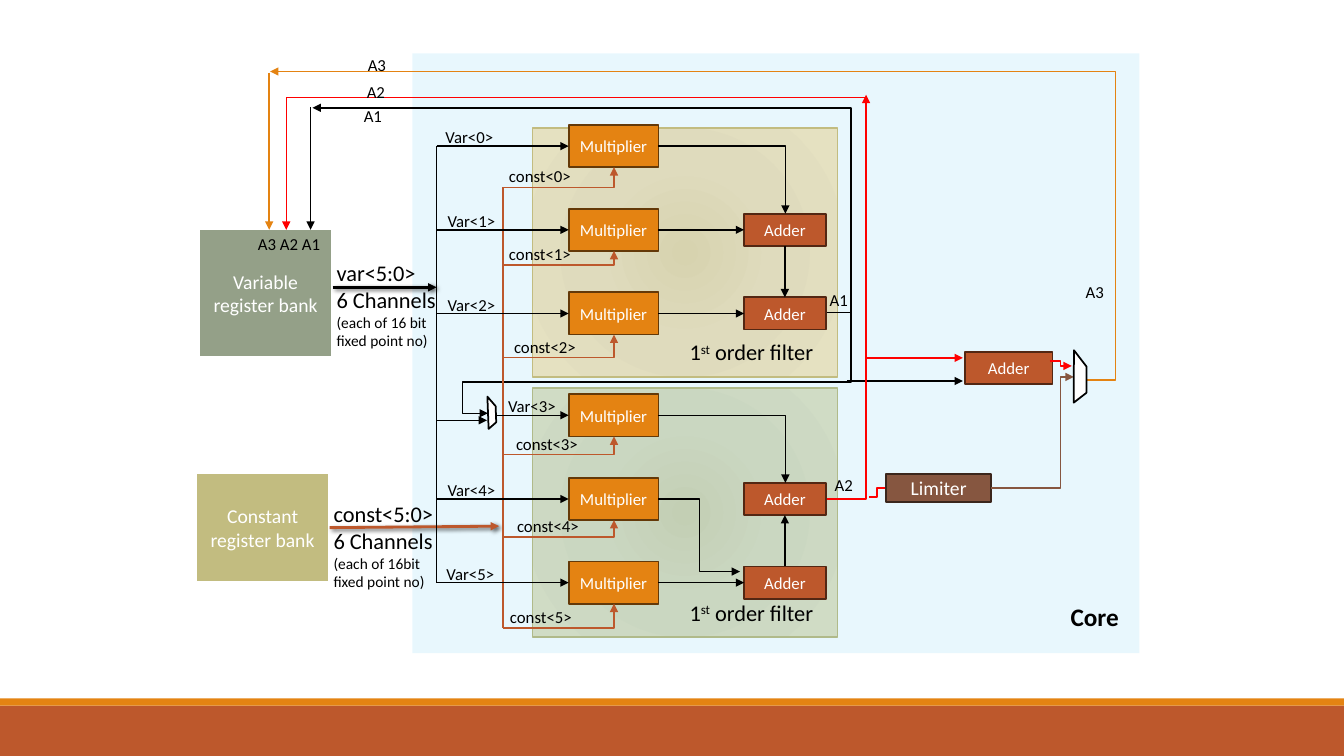
from collections import namedtuple

from lxml import etree
from pptx import Presentation
from pptx.dml.color import RGBColor
from pptx.enum.shapes import MSO_CONNECTOR, MSO_SHAPE
from pptx.enum.text import MSO_ANCHOR, PP_ALIGN
from pptx.oxml import parse_xml
from pptx.oxml.ns import nsdecls, qn
from pptx.util import Inches, Pt

RECTANGLE, STRIPE = MSO_SHAPE.RECTANGLE, MSO_SHAPE.DIAGONAL_STRIPE
STRAIGHT, ELBOW = MSO_CONNECTOR.STRAIGHT, MSO_CONNECTOR.ELBOW
CENTER, LEFT, MIDDLE = PP_ALIGN.CENTER, PP_ALIGN.LEFT, MSO_ANCHOR.MIDDLE
TOP_SIDE, LEFT_SIDE, BOTTOM_SIDE, RIGHT_SIDE = range(4)
BLACK, WHITE, RED = "000000", "FFFFFF", "FF0000"
ORANGE, RUST, BROWN = "E48312", "BD582C", "865640"
ROW = 0.83
VAR_BUS, CONST_BUS = 4.33, 4.99
Box = namedtuple("Box", "left top width height")


def color(code):
    return RGBColor.from_string(code)


def write(frame, text, size=12, ink=BLACK, bold=False, align=LEFT):
    first = frame.paragraphs[0]
    para = frame.add_paragraph() if first.runs else first
    para.alignment = align
    for index, piece in enumerate(text.split("^")):
        span = para.add_run()
        span.text = piece
        span.font.name = "Calibri"
        span.font.size = Pt(size)
        span.font.bold = bold
        span.font.color.rgb = color(ink)
        if index % 2:
            span.font._element.set("baseline", "30000")


def add_block(page, box, fill, line=None, width=1.25, text="", size=12, kind=RECTANGLE):
    block = page.shapes.add_shape(kind, *map(Inches, box))
    block.shadow.inherit = False
    block.fill.solid()
    block.fill.fore_color.rgb = color(fill)
    if line:
        block.line.color.rgb = color(line)
        block.line.width = Pt(width)
    else:
        block.line.fill.background()
    if text:
        block.text_frame.word_wrap = True
        block.text_frame.vertical_anchor = MIDDLE
        write(block.text_frame, text, size, WHITE, align=CENTER)
    return block


def add_label(page, left, top, width, *lines, height=0.3, bold=False):
    label = page.shapes.add_textbox(*map(Inches, (left, top, width, height)))
    label.text_frame.word_wrap = True
    for text, size in lines:
        write(label.text_frame, text, size, bold=bold)


def add_wire(page, points, ink=BLACK, width=1, arrow=True, begin=None, end=None, shadow=False):
    (x0, y0), (x1, y1) = points[0], points[-1]
    bends = len(points) - 1
    wire = page.shapes.add_connector(ELBOW if bends > 1 else STRAIGHT, *map(Inches, (x0, y0, x1, y1)))
    if begin:
        wire.begin_connect(*begin)
    if end:
        wire.end_connect(*end)
    wire.line.color.rgb = color(ink)
    wire.line.width = Pt(width)
    properties = wire.element.spPr
    if bends > 1:
        geometry = properties.find(qn("a:prstGeom"))
        geometry.set("prst", f"bentConnector{bends}")
        guides = geometry.find(qn("a:avLst"))
        for index in range(1, bends - 1):
            x, y = points[index]
            share = (x - x0) / (x1 - x0) if index % 2 else (y - y0) / (y1 - y0)
            etree.SubElement(guides, qn("a:gd"), name=f"adj{index}", fmla=f"val {round(share * 100000)}")
    if arrow:
        etree.SubElement(properties.find(qn("a:ln")), qn("a:tailEnd"), type="triangle")
    effects = etree.SubElement(properties, qn("a:effectLst"))
    if shadow:
        glow = etree.SubElement(effects, qn("a:outerShdw"), blurRad=str(Pt(3)), dist=str(Pt(2)), dir="2700000")
        shade = etree.SubElement(glow, qn("a:srgbClr"), val=BLACK)
        etree.SubElement(shade, qn("a:alpha"), val="60000")


def link(page, source, source_side, target, target_side):
    add_wire(page, [(0, 0), (1, 1)], begin=(source, source_side), end=(target, target_side))


def draw_footer(page, box):
    stripe = 0.07
    add_block(page, Box(box.left, box.top + stripe, box.width, box.height - stripe), RUST)
    add_block(page, Box(box.left, box.top, box.width, stripe), ORANGE)


def draw_filter_panel(page, box):
    panel = add_block(page, box, "DFDBBD", "C2BC80", 1)
    stops = "".join(
        f'<a:gs pos="{place}"><a:srgbClr val="{code}"/></a:gs>'
        for place, code in ((0, "D7D3AF"), (45000, "DFDBBD"), (100000, "E5E1C1"))
    )
    gradient = parse_xml(
        f'<a:gradFill {nsdecls("a")}><a:gsLst>{stops}</a:gsLst><a:path path="circle">'
        '<a:fillToRect l="100000" t="100000" r="100000" b="100000"/></a:path></a:gradFill>'
    )
    properties = panel.element.spPr
    properties.replace(properties.find(qn("a:solidFill")), gradient)


def draw_core(page, box):
    core = add_block(page, box, "00B0F0")
    tint = core.element.spPr.find(qn("a:solidFill"))[0]
    etree.SubElement(tint, qn("a:alpha"), val="9000")
    add_label(page, box.left + 6.43, box.top + 5.39, 1, ("Core", 18), height=0.4, bold=True)


def draw_filter(page, box, first_channel, offset, channels, cascade_up):
    multiplier_left, adder_left = box.left + 0.36, box.left + 2.1
    multipliers, adders = [], []
    for row, (drop, const_left, var_left, tap_left) in enumerate(channels):
        top = box.top + offset + row * ROW
        middle, wire_y = top + 0.21, top + 0.42 + drop
        multiplier = add_block(page, Box(multiplier_left, top, 0.89, 0.42), ORANGE, "643908", text="Multiplier")
        multipliers.append(multiplier)
        if row:
            adders.append(add_block(page, Box(adder_left, middle - 0.16, 0.81, 0.32), RUST, "532713", text="Adder"))
        add_wire(page, [(tap_left, middle), (multiplier_left, middle)], end=(multiplier, LEFT_SIDE))
        turn = multiplier_left + 0.45
        add_wire(page, [(CONST_BUS, wire_y), (turn, wire_y), (turn, top + 0.42)], RUST)
        channel = first_channel + row
        add_label(page, var_left, middle - 0.24, 0.81, (f"Var<{channel}>", 12))
        add_label(page, const_left, wire_y - 0.26, 0.84, (f"const<{channel}>", 12))
    upper, lower = adders
    right, middle = multiplier_left + 0.89, box.top + offset + 0.21
    turn = adder_left + 0.41
    add_wire(page, [(right, middle), (turn, middle), (turn, middle + ROW - 0.16)])
    link(page, multipliers[2], RIGHT_SIDE, lower, LEFT_SIDE)
    if cascade_up:
        start, finish, turn = middle + ROW, middle + 2 * ROW - 0.11, right + 0.41
        add_wire(page, [(right, start), (turn, start), (turn, finish), (adder_left - 0.04, finish)])
        link(page, lower, TOP_SIDE, upper, BOTTOM_SIDE)
    else:
        link(page, multipliers[1], RIGHT_SIDE, upper, LEFT_SIDE)
        link(page, upper, BOTTOM_SIDE, lower, TOP_SIDE)
    add_label(page, box.left + 1.46, box.top + box.height - 0.43, 1.52, ("1^st^ order filter", 16), height=0.37)


def draw_bank(page, box, fill, name, signal, note, caption_top):
    bank = add_block(page, box, fill, WHITE, 2, name, 14)
    lines = (signal, 16), ("6 Channels", 16), (note, 11)
    add_label(page, box.left + 1.27, caption_top, 1.23, *lines, height=1.01)
    return bank


def draw_output(page, box):
    left, top = box.left, box.top
    add_block(page, Box(left + 0.78, top, 0.87, 0.32), RUST, "532713", text="Adder")
    add_block(page, Box(left, top + 1.21, 1.04, 0.28), BROWN, "3B261C", text="Limiter", size=14)
    limiter_y, mux_x = top + 1.35, left + 1.73
    add_wire(page, [(left + 1.04, limiter_y), (mux_x, limiter_y), (mux_x, top + 0.25), (left + 1.86, top + 0.25)], BROWN)
    draw_mux(page, Box(left + 1.7, top + 0.04, 0.32, 0.41), 142.3)
    add_wire(page, [(left + 1.62, top + 0.09), (mux_x, top + 0.09), (mux_x, top + 0.14), (left + 1.84, top + 0.14)], RED)
    add_label(page, left + 1.88, top - 0.74, 0.4, ("A3", 12))


def draw_mux(page, box, angle):
    add_block(page, box, WHITE, BLACK, kind=STRIPE).rotation = angle


def draw_wiring(page, box):
    wires = (
        (BLACK, True, [(8.44, 3.22), (8.44, 3.22), (8.44, 1.07), (3.1, 1.07)]),
        (BLACK, True, [(3.08, 1.06), (3.08, 2.28)]),
        (BLACK, True, [(8.19, 3.1), (8.44, 3.1), (8.44, 3.79), (4.59, 3.79), (4.59, 4.1), (4.84, 4.1)]),
        (BLACK, True, [(8.4, 3.78), (9.55, 3.78)]),
        (BLACK, True, [(VAR_BUS, 4.17), (4.83, 4.17)]),
        (BLACK, False, [(VAR_BUS, 1.45), (VAR_BUS, 5.78)]),
        (RUST, False, [(CONST_BUS, 1.86), (CONST_BUS, 6.23)]),
        (RED, True, [(8.19, 4.95), (8.59, 4.95), (8.59, 0.94)]),
        (RED, True, [(8.6, 0.97), (2.84, 0.97), (2.84, 2.28)]),
        (RED, True, [(8.59, 3.55), (9.55, 3.55)]),
        (RED, False, [(8.62, 4.93), (8.7, 4.93), (8.7, 4.84), (8.79, 4.84)]),
        (ORANGE, True, [(10.78, 3.77), (11.06, 3.77), (11.06, 0.71), (2.68, 0.71)]),
        (ORANGE, True, [(2.67, 0.72), (2.67, 2.28)]),
    )
    for ink, arrow, points in wires:
        add_wire(page, [(box.left + x, box.top + y) for x, y in points], ink, arrow=arrow)
    labels = (8.13, 2.83, "A1"), (8.18, 4.66, "A2"), (3.51, 1, "A1"), (3.54, 0.76, "A2"), (3.55, 0.49, "A3")
    for x, y, text in labels:
        add_label(page, box.left + x, box.top + y, 0.47, (text, 12))


def main():
    deck = Presentation()
    deck.slide_width, deck.slide_height = Inches(13.33), Inches(7.5)
    page = deck.slides.add_slide(deck.slide_layouts[6])
    draw_footer(page, Box(0, 6.93, 13.33, 0.57))
    upper, lower = (Box(5.28, top, 3.03, 2.47) for top in (1.27, 3.85))
    draw_filter_panel(page, lower)
    draw_core(page, Box(4.09, 0.53, 7.21, 5.95))
    draw_filter_panel(page, upper)
    variable = Box(1.97, 2.27, 1.33, 1.28)
    draw_bank(page, variable, "94A088", "Variable register bank", "var<5:0>", "(each of 16 bit fixed point no)", 2.52)
    add_label(page, variable.left + 0.49, variable.top, 0.86, ("A3 A2 A1", 12))
    add_wire(page, [(3.3, 2.85), (VAR_BUS, 2.85)], width=2, shadow=True)
    constant = Box(1.94, 4.69, 1.33, 1.09)
    bank = draw_bank(page, constant, "C2BC80", "Constant register bank", "const<5:0>", "(each of 16bit fixed point no)", 4.91)
    add_wire(page, [(3.27, 5.23), (4.95, 5.22)], RUST, 2, begin=(bank, RIGHT_SIDE), shadow=True)
    draw_wiring(page, Box(0, 0, 13.33, 7.5))
    draw_mux(page, Box(4.74, 3.97, 0.2, 0.25), 139.2)
    first = (0.2, 4.95, 4.32, VAR_BUS), (0.14, 4.95, 4.34, VAR_BUS), (0.23, 5, 4.34, VAR_BUS)
    second = (0.18, 5.02, 4.94, 4.92), (0.17, 5.03, 4.34, VAR_BUS), (0.24, 4.96, 4.33, VAR_BUS)
    draw_filter(page, upper, 0, -0.03, first, False)
    draw_filter(page, lower, 3, 0.06, second, True)
    draw_output(page, Box(8.79, 3.49, 2.27, 1.49))
    deck.save("out.pptx")


if __name__ == "__main__":
    main()
